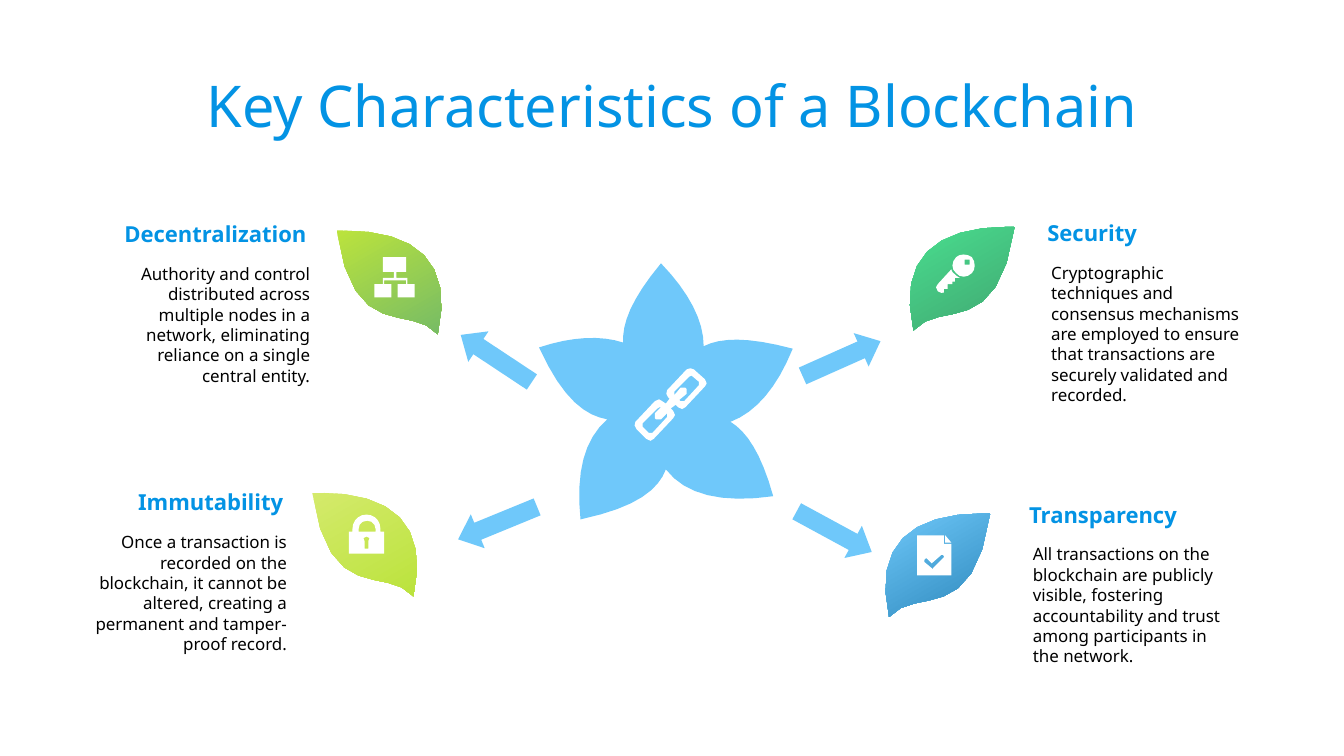
import math

import pptx
import pptx.dml.color
import pptx.enum.shapes
import pptx.enum.text
import pptx.util

Pt = pptx.util.Pt
RGBColor = pptx.dml.color.RGBColor
ALIGN = pptx.enum.text.PP_ALIGN

HEADING_BLUE = RGBColor(0x03, 0x93, 0xE4)
SKY = RGBColor(0x6F, 0xC8, 0xFA)
DEEP_BLUE = RGBColor(0x2D, 0x88, 0xBB)
PALE_LIME = RGBColor(0xD4, 0xEA, 0x6B)
LIME = RGBColor(0xBB, 0xE3, 0x3D)
LEAF_GREEN = RGBColor(0x77, 0xBC, 0x65)
MINT = RGBColor(0x49, 0xDE, 0x8F)
DARK_MINT = RGBColor(0x41, 0xA6, 0x71)
WHITE = RGBColor(0xFF, 0xFF, 0xFF)
BLACK = RGBColor(0x00, 0x00, 0x00)

FONT = "Noto Sans"
UNIT = 0.72  # points per outline unit
MOST_STEPS = 8
LEAF_WIDTH = 86

# An outline is a list of contours. In a contour, two numbers are a corner
# and six numbers are a cubic curve from the point before.
STAR = [[(577, 284), (591, 277, 612, 276, 650, 286), (637, 318, 620, 338, 599, 346),
         (612, 354, 624, 371, 634, 407), (592, 413, 562, 406, 546, 385),
         (540, 401, 523, 416, 476, 426), (472, 388, 479, 360, 498, 344),
         (481, 341, 462, 329, 442, 285), (469, 276, 493, 275, 511, 281),
         (510, 266, 517, 246, 542, 216), (565, 240, 577, 263, 577, 284)]]
LEAF = [(83, 85), (60, 59, 14, 94, 0, 0), (5, 0), (66, 0, 96, 26, 83, 85)]

KEY = [
    [(787, 228), (783, 228), (783, 231), (781, 231), (781, 233), (777, 233), (777, 237),
     (774, 237), (774, 240), (773, 241, 771, 240, 769, 239), (767, 237, 767, 234, 769, 233),
     (780, 221), (781, 223, 781, 224, 783, 225), (784, 226, 785, 227, 787, 228)],
    [(797, 211), (800, 215, 800, 221, 797, 224), (793, 228, 787, 228, 784, 224),
     (780, 221, 780, 215, 784, 211), (787, 208, 793, 208, 797, 211)],
    [(795, 213), (796, 214, 796, 216, 795, 217), (794, 218, 792, 218, 791, 217),
     (790, 216, 790, 214, 791, 213), (792, 212, 794, 212, 795, 213)],
]
NETWORK = [[(314, 211), (314, 223), (323, 223), (323, 228), (314, 228), (314, 233),
            (307, 233), (307, 244), (321, 244), (321, 233), (315, 233), (315, 230),
            (333, 230), (333, 233), (326, 233), (326, 244), (340, 244), (340, 233),
            (334, 233), (334, 228), (325, 228), (325, 223), (333, 223), (333, 211)]]
PADLOCK = [
    [(286, 436), (289, 436), (289, 434), (289, 427, 294, 422, 300.5, 422),
     (307, 422, 312, 427, 312, 434), (312, 436), (315, 436), (315, 454), (286, 454)],
    [(294, 436), (308, 436), (308, 434), (308, 430, 305, 427, 301, 427),
     (297, 427, 294, 430, 294, 434)],
    [(299, 444), (299, 450), (302, 450), (302, 444), (304, 442, 303, 440, 300.5, 440),
     (298, 440, 297, 442, 299, 444)],
]
CHAIN = [
    [(566, 302), (563, 303), (547, 320), (546, 322, 546, 324, 548, 326),
     (549, 327), (546, 331), (543, 329), (542, 327, 539, 327, 537, 329), (521, 346),
     (520, 348, 520, 350, 522, 352), (530, 360), (532, 362, 535, 362, 536, 360),
     (552, 343), (554, 342, 554, 339, 552, 337), (550, 335), (554, 332), (556, 334),
     (558, 336, 561, 336, 562, 334), (578, 317), (580, 316, 580, 313, 578, 311),
     (569, 303)],
    [(567, 308), (573, 313), (574, 314, 574, 315, 573, 316), (561, 329), (558, 329),
     (557, 328), (563, 323), (564, 322, 564, 320, 563, 319), (562, 318),
     (561, 317, 559, 317, 558, 318), (553, 324), (553, 321), (565, 309)],
    [(541, 334), (542, 334), (537, 339), (536, 340, 536, 342, 537, 343), (538, 344),
     (539, 345, 541, 345, 542, 344), (547, 339), (547, 342), (535, 355), (532, 355),
     (527, 350), (526, 349, 526, 348, 527, 347), (539, 335)],
]
DOCUMENT = [
    [(752, 439), (774, 439), (774, 446), (780, 446), (780, 472), (752, 472)],
    [(775, 439), (780, 445), (775, 445)],
    [(758, 459), (759, 458), (760, 458), (764, 462), (772, 455), (773, 455), (774, 456),
     (774, 457), (765, 466), (764.5, 467), (764, 466), (758, 461)],
]


def add_outline(contours):
    """Draw contours as one borderless freeform; longer curves get more line steps."""
    builder = None
    for contour in contours:
        points = []
        for numbers in contour:
            pairs = list(zip(numbers[::2], numbers[1::2]))
            if len(pairs) == 1:
                points += pairs
                continue
            controls = [points[-1]] + pairs
            steps = min(MOST_STEPS, math.ceil(math.dist(controls[0], controls[3]) / 4))
            for step in range(1, steps + 1):
                t = step / steps
                weights = ((1 - t) ** 3, 3 * t * (1 - t) ** 2, 3 * t * t * (1 - t), t ** 3)
                points.append(tuple(sum(weight * control[axis]
                                        for weight, control in zip(weights, controls))
                                    for axis in (0, 1)))
        corners = [(Pt(x * UNIT), Pt(y * UNIT)) for x, y in points]
        if builder is None:
            builder = slide.shapes.build_freeform(*corners[0])
        else:
            builder.move_to(*corners[0])
        builder.add_line_segments(corners[1:], close=True)
    shape = builder.convert_to_shape()
    shape.shadow.inherit = False
    shape.line.fill.background()
    return shape


def write_text(box, text, size, color, align, bold=False):
    frame = box.text_frame
    frame.text = text
    frame.word_wrap = True
    frame.vertical_anchor = pptx.enum.text.MSO_ANCHOR.TOP
    frame.auto_size = pptx.enum.text.MSO_AUTO_SIZE.SHAPE_TO_FIT_TEXT
    para = frame.paragraphs[0]
    para.alignment = align
    para.font.name = FONT
    para.font.size = Pt(size)
    para.font.bold = bold
    para.font.color.rgb = color


deck = pptx.Presentation()
deck.slide_width, deck.slide_height = Pt(793.44), Pt(446.4)
slide = deck.slides.add_slide(deck.slide_layouts[5])

title = slide.shapes.title
title.left, title.top, title.width, title.height = Pt(0), Pt(37.44), Pt(793.44), Pt(48.24)
write_text(title, "Key Characteristics of a Blockchain", 34, HEADING_BLUE, ALIGN.CENTER)

star = add_outline(STAR)
star.fill.solid()
star.fill.fore_color.rgb = SKY

# Leaf left and top in outline units, mirrored, light and dark colour
leaves = [
    (256, 404, False, PALE_LIME, LIME),
    (746, 186, True, MINT, DARK_MINT),
    (276, 189, False, LIME, LEAF_GREEN),
    (726, 421, True, SKY, DEEP_BLUE),
]
for left, top, mirrored, light, dark in leaves:
    contour = []
    for numbers in LEAF:
        placed = []
        for x, y in zip(numbers[::2], numbers[1::2]):
            placed += [left + (LEAF_WIDTH - x if mirrored else x), top + y]
        contour.append(placed)
    leaf = add_outline([contour])
    leaf.fill.gradient()
    leaf.fill.gradient_angle = 300
    for stop, color in zip(leaf.fill.gradient_stops, (light, dark)):
        stop.color.rgb = color

for icon_contours in (KEY, NETWORK, PADLOCK, CHAIN, DOCUMENT):
    icon = add_outline(icon_contours)
    icon.fill.solid()
    icon.fill.fore_color.rgb = WHITE

for left, top, rotation in [(471.6, 200.9, 156), (467.3, 303.1, 208.5),
                            (267.8, 200.9, 33.5), (268.6, 298.1, 337.7)]:
    arrow = slide.shapes.add_shape(pptx.enum.shapes.MSO_SHAPE.LEFT_ARROW,
                                   Pt(left), Pt(top), Pt(50.4), Pt(21.6))
    arrow.adjustments[0], arrow.adjustments[1] = 0.5, 0.58
    arrow.rotation = rotation
    arrow.shadow.inherit = False
    arrow.fill.solid()
    arrow.fill.fore_color.rgb = SKY
    arrow.line.fill.background()

characteristics = [
    (611.3, 126, 110.2, 91.4, ALIGN.LEFT, "Security",
     "Cryptographic techniques and consensus mechanisms are employed to ensure "
     "that transactions are securely validated and recorded."),
    (600.5, 292.3, 110.2, 79.2, ALIGN.LEFT, "Transparency",
     "All transactions on the blockchain are publicly visible, fostering "
     "accountability and trust among participants in the network."),
    (58.3, 126.7, 129.6, 79.2, ALIGN.RIGHT, "Decentralization",
     "Authority and control distributed across multiple nodes in a network, "
     "eliminating reliance on a single central entity."),
    (44.6, 285.1, 129.6, 79.2, ALIGN.RIGHT, "Immutability",
     "Once a transaction is recorded on the blockchain, it cannot be altered, "
     "creating a permanent and tamper-proof record."),
]
for left, top, heading_width, body_height, align, heading, body in characteristics:
    heading_box = slide.shapes.add_textbox(Pt(left), Pt(top), Pt(heading_width), Pt(23))
    write_text(heading_box, heading, 13, HEADING_BLUE, align, bold=True)
    body_box = slide.shapes.add_textbox(Pt(left + 2.2), Pt(top + 25.4),
                                        Pt(129.6), Pt(body_height))
    write_text(body_box, body, 10, BLACK, align)

deck.save("out.pptx")
